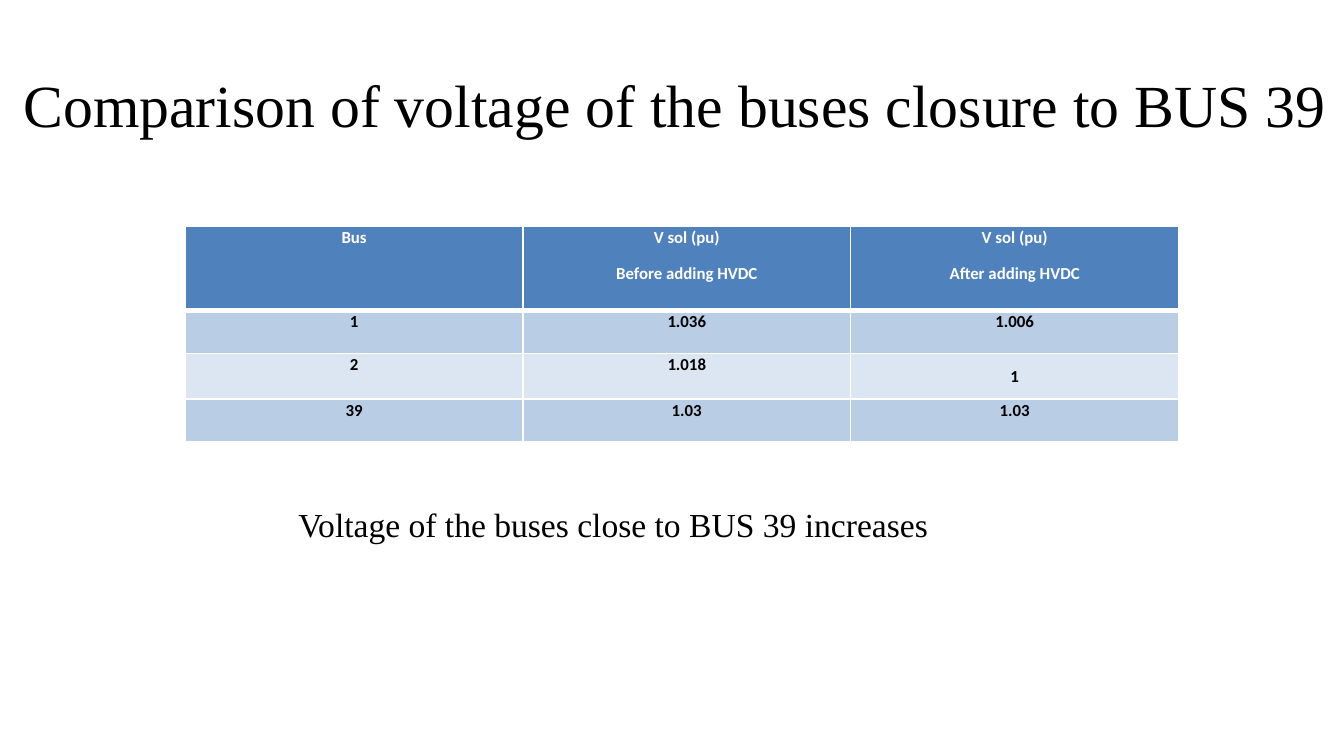
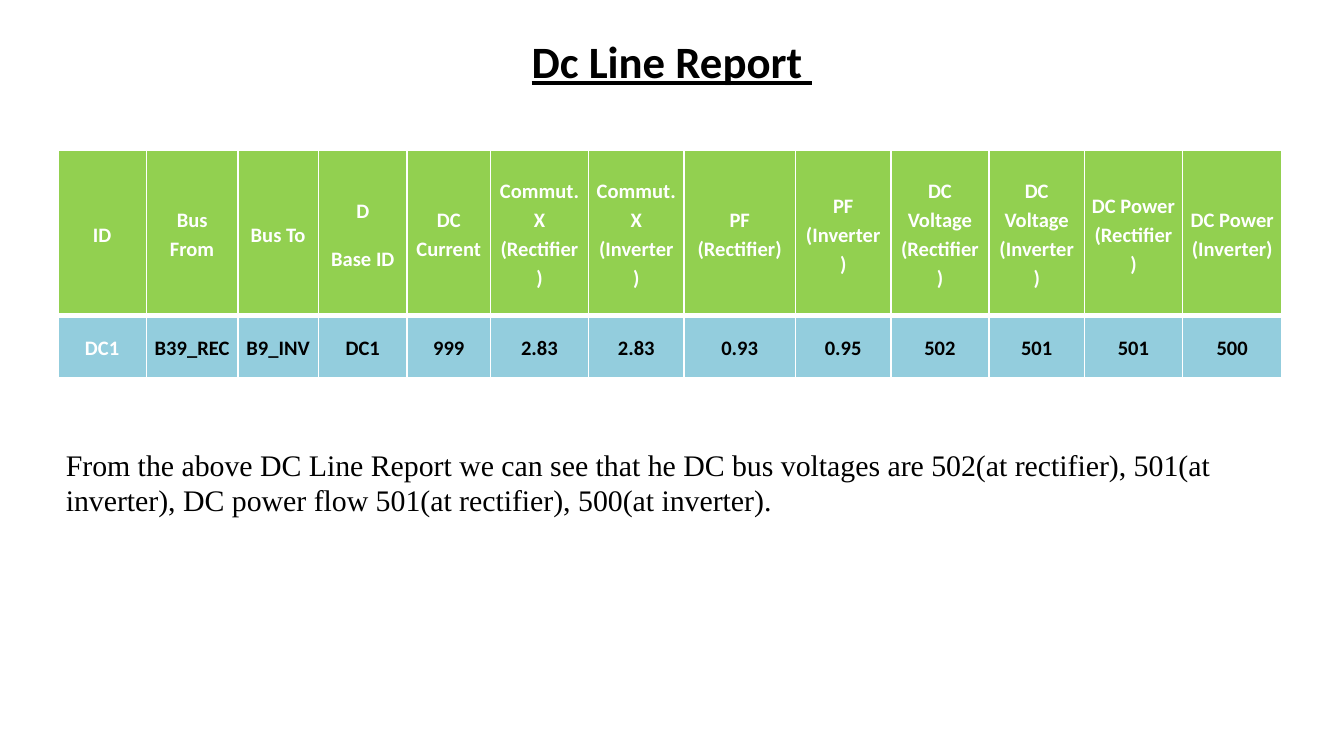
from lxml import etree
from pptx import Presentation
from pptx.dml.color import RGBColor
from pptx.enum.text import MSO_ANCHOR, PP_ALIGN
from pptx.oxml.ns import qn
from pptx.util import Inches, Pt

TOP, MIDDLE = MSO_ANCHOR.TOP, MSO_ANCHOR.MIDDLE
LEFT, CENTER = PP_ALIGN.LEFT, PP_ALIGN.CENTER
SANS, SERIF = "Calibri", "Times New Roman"
COLORS = {
    "black": "000000", "white": "FFFFFF", "blue": "4F81BD",
    "mid": "B9CDE5", "pale": "DCE6F2", "green": "92D050", "aqua": "93CDDD",
}
THIN, THICK = 1, 3

VOLTS = [
    ["Bus", "V sol (pu)\nBefore adding HVDC", "V sol (pu)\nAfter adding HVDC"],
    ["1", "1.036", "1.006"],
    ["2", "1.018", "1"],
    ["39", "1.03", "1.03"],
]
LINES = [
    ["ID", "Bus From", "Bus To", "D\nBase ID", "DC Current",
     "Commut. X (Rectifier)", "Commut. X (Inverter)",
     "PF (Rectifier)", "PF (Inverter)",
     "DC Voltage (Rectifier)", "DC Voltage (Inverter)",
     "DC Power (Rectifier)", "DC Power (Inverter)"],
    ["DC1", "B39_REC", "B9_INV", "DC1", "999", "2.83", "2.83",
     "0.93", "0.95", "502", "501", "501", "500"],
]


def color(name):
    return RGBColor.from_string(COLORS[name])


def write(frame, text, size, face, tint="black", align=LEFT, bold=False,
          line=False, space=1.0, after=0):
    """Put text into a frame and style every paragraph alike."""
    frame.text = text
    for para in frame.paragraphs:
        para.alignment = align
        para.line_spacing = space
        para.space_after = Pt(after)
        for run in para.runs:
            font = run.font
            font.name, font.size = face, Pt(size)
            font.bold, font.underline = bold, line
            font.color.rgb = color(tint)


def add_text(slide, place, text, size, face, anchor=TOP, inset=(0.07, 0.04),
             **style):
    box = slide.shapes.add_textbox(*map(Inches, place))
    frame = box.text_frame
    frame.word_wrap = True
    frame.vertical_anchor = anchor
    frame.margin_left = frame.margin_right = Inches(inset[0])
    frame.margin_top = frame.margin_bottom = Inches(inset[1])
    write(frame, text, size, face, **style)


def add_title(slide, place, text, size, face, **style):
    add_text(slide, place, text, size, face, anchor=MIDDLE,
             inset=(0.1, 0.05), align=CENTER, **style)


def add_rules(cell, base):
    """Draw white cell borders; they must come before the fill."""
    props = cell._tc.get_or_add_tcPr()
    widths = {"a:lnL": THIN, "a:lnR": THIN, "a:lnT": THIN, "a:lnB": base}
    for spot, (tag, width) in enumerate(widths.items()):
        rule = etree.Element(qn(tag), w=str(Pt(width)))
        fill = etree.SubElement(rule, qn("a:solidFill"))
        etree.SubElement(fill, qn("a:srgbClr"), val=COLORS["white"])
        props.insert(spot, rule)


def add_grid(slide, spot, cols, rows, data, fills, anchor, **style):
    """Add a table with one fill per row and a white-lettered header."""
    place = (*spot, sum(cols), sum(rows))
    table = slide.shapes.add_table(len(rows), len(cols),
                                   *map(Inches, place)).table
    for col, width in zip(table.columns, cols):
        col.width = Inches(width)
    for row, height in zip(table.rows, rows):
        row.height = Inches(height)
    for r, texts in enumerate(data):
        head = r == 0
        for c, text in enumerate(texts):
            cell = table.cell(r, c)
            cell.fill.solid()
            cell.fill.fore_color.rgb = color(fills[r])
            cell.margin_left = cell.margin_right = Pt(4)
            cell.margin_top = cell.margin_bottom = 0
            cell.vertical_anchor = anchor
            write(cell.text_frame, text, face=SANS, bold=True, align=CENTER,
                  tint="white" if head else "black", **style)
            add_rules(cell, THICK if head else THIN)
    return table


def add_volts(slide):
    add_title(slide, (0.05, 0.41, 9.95, 0.68),
              "Comparison of voltage of the buses closure to BUS 39",
              32, SERIF, space=1.07, after=6)
    table = add_grid(slide, (1.38, 1.68), [2.51, 2.44, 2.44],
                     [0.63, 0.32, 0.34, 0.32], VOLTS,
                     ["blue", "mid", "pale", "mid"], TOP,
                     size=9, space=1.07, after=8)
    table.cell(2, 2).vertical_anchor = MIDDLE
    add_text(slide, (2.15, 3.71, 6, 0.38),
             "Voltage of the buses close to BUS 39 increases", 18, SERIF)


def add_report(slide):
    add_title(slide, (0.69, 0, 8.62, 0.9), "Dc Line Report ", 24, SANS,
              bold=True, line=True)
    cols = [0.66, 0.68, 0.6, 0.66, 0.62, 0.73, 0.71, 0.83, 0.71, 0.73,
            0.71, 0.73, 0.74]
    table = add_grid(slide, (0.43, 1.12), cols, [1.23, 0.46], LINES,
                     ["green", "aqua"], MIDDLE,
                     size=11, space=1.15, after=10)
    name = table.cell(1, 0).text_frame.paragraphs[0].runs[0]
    name.font.color.rgb = color("white")
    add_text(slide, (0.42, 3.28, 9.06, 0.61),
             "From the above DC Line Report we can see that he DC bus "
             "voltages are 502(at rectifier), 501(at inverter), DC power "
             "flow 501(at rectifier), 500(at inverter).", 16, SERIF)


def main():
    deck = Presentation()
    deck.slide_width = Inches(10)
    deck.slide_height = deck.slide_width * 9 // 16
    blank = deck.slide_layouts[6]
    for fill in (add_volts, add_report):
        fill(deck.slides.add_slide(blank))
    deck.save("out.pptx")


if __name__ == "__main__":
    main()
